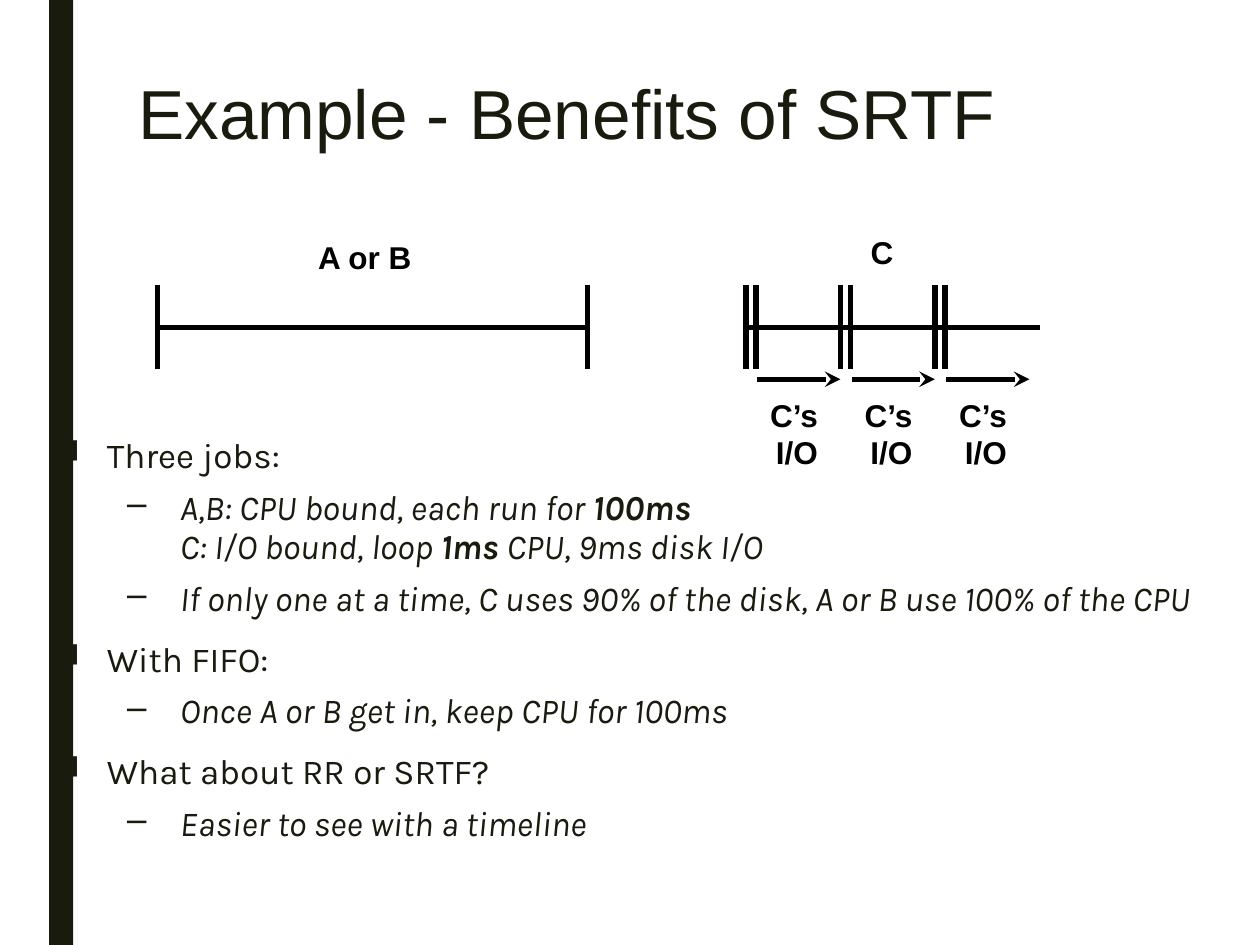
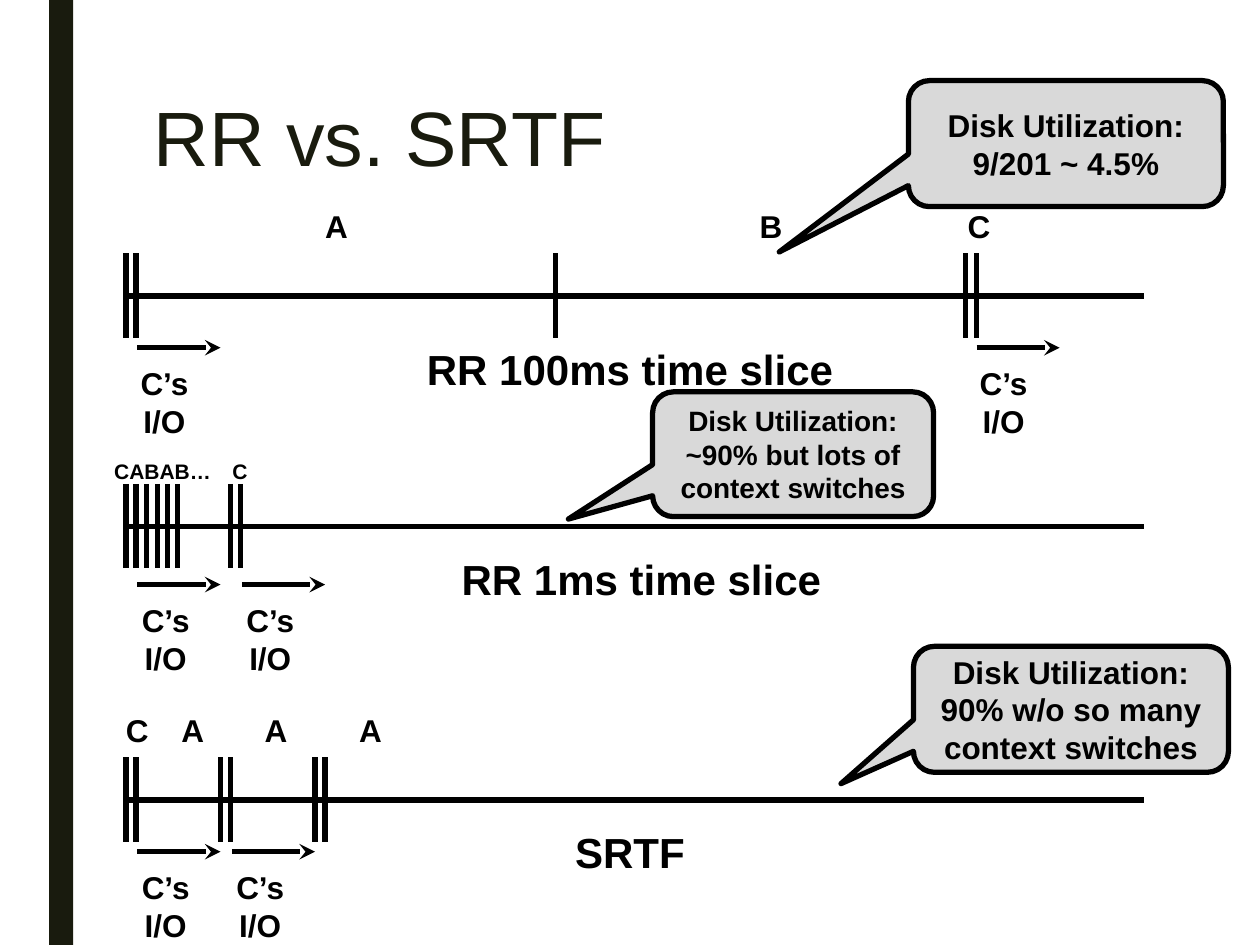
"""Build two slides that compare SRTF with round robin scheduling."""
from dataclasses import dataclass

from lxml.etree import SubElement
from pptx import Presentation
from pptx.dml.color import RGBColor
from pptx.enum.shapes import MSO_CONNECTOR, MSO_SHAPE
from pptx.enum.text import MSO_ANCHOR, PP_ALIGN
from pptx.oxml.ns import qn
from pptx.util import Inches, Pt


@dataclass(frozen=True)
class Theme:
    ink: RGBColor = RGBColor(0x19, 0x1B, 0x0E)
    black: RGBColor = RGBColor(0, 0, 0)
    grey: RGBColor = RGBColor(0xD9, 0xD9, 0xD9)
    head_font: str = "Arial"
    body_font: str = "Karla"
    body: float = 20
    caption: float = 24
    label: float = 18
    note: float = 16
    small: float = 12
    rule: float = 3


T = Theme()


def write(sp, text, size, align=PP_ALIGN.CENTER, color=T.black, bold=True, spacing=None):
    tf = sp.text_frame
    tf.text = text
    for p in tf.paragraphs:
        p.alignment = align
        p.line_spacing = spacing
        for r in p.runs:
            r.font.name, r.font.size, r.font.bold = T.head_font, Pt(size), bold
            r.font.color.rgb = color


def line(shapes, x1, y1, x2, y2, arrow=False):
    c = shapes.add_connector(MSO_CONNECTOR.STRAIGHT, Inches(x1), Inches(y1), Inches(x2), Inches(y2))
    c.line.color.rgb = T.black
    c.line.width = Pt(T.rule)
    spPr = c._element.spPr
    if arrow:
        SubElement(spPr.find(qn("a:ln")), qn("a:tailEnd"), type="stealth")
    SubElement(spPr, qn("a:effectLst"))


prs = Presentation()
prs.slide_width, prs.slide_height = Inches(10), Inches(7.5)

titles = [
    ("Example - Benefits of SRTF", 39.6, 1, 0.59, 9, 0.58),
    ("RR vs. SRTF", 44, 1.12, 0.75, 7.88, 1.62),
]
slides = []
for text, size, x, y, w, h in titles:
    s = prs.slides.add_slide(prs.slide_layouts[6])
    bar = s.shapes.add_shape(MSO_SHAPE.RECTANGLE, Inches(0.39), 0, Inches(0.19), prs.slide_height)
    bar.shadow.inherit = False
    bar.fill.solid()
    bar.fill.fore_color.rgb = T.ink
    bar.line.fill.background()
    sp = s.shapes.add_textbox(Inches(x), Inches(y), Inches(w), Inches(h))
    sp.text_frame.word_wrap = True
    write(sp, text, size, PP_ALIGN.LEFT, T.ink, False, 0.89)
    slides.append(s)

body = [
    (0, "Three jobs:"),
    (1, "A,B: CPU bound, each run for *100ms*\vC: I/O bound, loop *1ms *CPU, 9ms disk I/O"),
    (1, "If only one at a time, C uses 90% of the disk, A or B use 100% of the CPU"),
    (0, "With FIFO:"),
    (1, "Once A or B get in, keep CPU for 100ms"),
    (0, "What about RR or SRTF?"),
    (1, "Easier to see with a timeline"),
]
bullets = [("■", 0.42, 10), ("–", 1, 5)]
sp = slides[0].shapes.add_textbox(Inches(0.33), Inches(3.42), Inches(9.42), Inches(3.83))
tf = sp.text_frame
tf.word_wrap = True
for i, (level, text) in enumerate(body):
    p = tf.add_paragraph() if i else tf.paragraphs[0]
    mark, indent, before = bullets[level]
    p.level = level
    p.line_spacing, p.space_before, p.space_after = 0.94, Pt(before), Pt(2)
    pPr = p._p.get_or_add_pPr()
    pPr.set("marL", str(Inches(indent)))
    pPr.set("indent", str(-Inches(0.42)))
    SubElement(pPr, qn("a:buChar"), char=mark)
    for row, words in enumerate(text.split("\v")):
        if row:
            p.add_line_break()
        for n, part in enumerate(words.split("*")):
            if part:
                r = p.add_run()
                r.text = part
                r.font.name, r.font.size = T.body_font, Pt(T.body)
                r.font.color.rgb = T.ink
                r.font.bold, r.font.italic = n % 2 == 1, level == 1

timelines = [
    dict(slide=0, axis=(5.92, 8.25, 2.6), ticks=[5.92, 6, 6.67, 6.75, 7.42, 7.5],
         io=[6.01, 6.76, 7.51], drop=0.41, shift=0.03, align=PP_ALIGN.RIGHT,
         labels=[("C", 6.81, 1.8, 0.38, T.label)]),
    dict(slide=0, axis=(1.25, 4.67, 2.6), ticks=[1.25, 4.66], io=[],
         labels=[("A or B", 2.42, 1.84, 0.95, T.label)]),
    dict(slide=1, axis=(1, 9.08, 4.18), ticks=[1, 1.08, 1.16, 1.25, 1.33, 1.41, 1.83, 1.91],
         io=[1.09, 1.92], drop=0.46, shift=0.08, align=PP_ALIGN.CENTER,
         labels=[("CABAB…", 0.8, 3.59, 0.98, T.small), ("C", 1.74, 3.59, 0.33, T.small),
                 ("RR 1ms time slice", 3.55, 4.34, 3.08, T.caption)]),
    dict(slide=1, axis=(1, 9.08, 2.35), ticks=[1, 1.08, 4.41, 7.66, 7.75],
         io=[1.09, 7.75], drop=0.41, shift=0.09, align=PP_ALIGN.CENTER,
         labels=[("A", 2.48, 1.59, 0.38, T.label), ("B", 5.93, 1.59, 0.38, T.label),
                 ("C", 7.58, 1.59, 0.38, T.label),
                 ("RR 100ms time slice", 3.27, 2.68, 3.46, T.caption)]),
    dict(slide=1, axis=(1, 9.08, 6.35), ticks=[1, 1.08, 1.75, 1.83, 2.5, 2.58],
         io=[1.09, 1.84], drop=0.41, shift=0.08, align=PP_ALIGN.CENTER,
         labels=[("C", 0.9, 5.59, 0.38, T.label), ("A", 1.34, 5.59, 0.38, T.label),
                 ("A", 2, 5.59, 0.38, T.label), ("A", 2.75, 5.59, 0.38, T.label),
                 ("SRTF", 4.46, 6.51, 1.08, T.caption)]),
]
heights = {T.small: 0.27, T.label: 0.35, T.caption: 0.44}
for t in timelines:
    shapes = slides[t["slide"]].shapes.add_group_shape().shapes
    x1, x2, y = t["axis"]
    line(shapes, x1, y, x2, y)
    for x in t["ticks"]:
        line(shapes, x, y - 0.34, x, y + 0.33)
    for x in t["io"]:
        arrow_y = y + t["drop"]
        line(shapes, x, arrow_y, x + 0.66, arrow_y, arrow=True)
        sp = shapes.add_textbox(Inches(x - t["shift"]), Inches(arrow_y + 0.08), Inches(0.61), Inches(0.66))
        sp.text_frame.word_wrap = False
        write(sp, "C’s \nI/O", T.label, t["align"])
    for text, x, top, w, size in t["labels"]:
        sp = shapes.add_textbox(Inches(x), Inches(top), Inches(w), Inches(heights[size]))
        sp.text_frame.word_wrap = False
        write(sp, text, size)

callouts = [
    ("~90% but lots of context switches", T.note, 5.18, 3.11, 2.23, 0.99, (-0.8, 0.52)),
    ("90% w/o so many context switches", T.label, 7.25, 5.13, 2.5, 1, (-0.73, 0.59)),
    ("9/201 ~ 4.5%", T.label, 7.21, 0.64, 2.5, 1, (-0.91, 0.86)),
]
for text, size, x, y, w, h, tip in callouts:
    sp = slides[1].shapes.add_shape(
        MSO_SHAPE.ROUNDED_RECTANGULAR_CALLOUT, Inches(x), Inches(y), Inches(w), Inches(h))
    sp.adjustments[0], sp.adjustments[1] = tip
    sp.shadow.inherit = False
    sp.fill.solid()
    sp.fill.fore_color.rgb = T.grey
    sp.line.color.rgb = T.black
    sp.line.width = Pt(T.rule)
    sp.text_frame.word_wrap = True
    sp.text_frame.vertical_anchor = MSO_ANCHOR.MIDDLE
    write(sp, "Disk Utilization:\n" + text, size)

prs.save("out.pptx")
